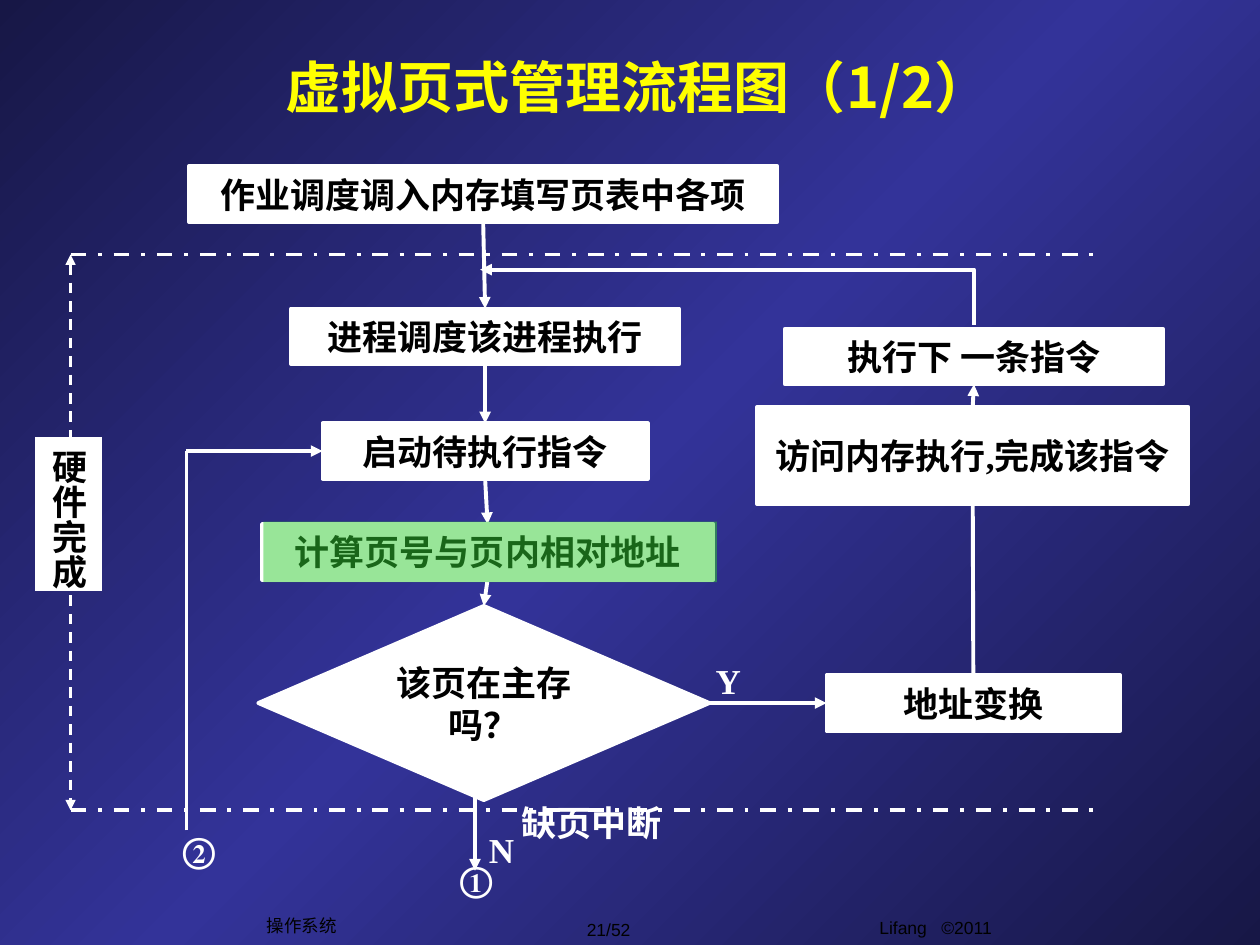
from copy import deepcopy

from pptx import Presentation
from pptx import util as u
from pptx.dml.color import RGBColor
from pptx.enum import dml, shapes, text
from pptx.oxml.ns import qn
from pptx.oxml.xmlchemy import OxmlElement

WHITE, BLACK = "FFFFFF", "000000"
TIMES, SANS, ARIAL = "Times New Roman", "Noto Sans CJK SC", "Arial"
KIND = shapes.MSO_SHAPE
BOX = KIND.FLOWCHART_PROCESS


def paint(color, value):
    color.rgb = RGBColor.from_string(value)


def back(slide):
    fill = slide.background.fill
    fill.gradient()
    fill.gradient_angle = 135
    stops = slide.element.find(".//" + qn("a:gsLst"))
    stops.append(deepcopy(stops[0]))
    for stop, place, value in zip(
        fill.gradient_stops, (0, 0.5, 1), ("171746", "333399", "171746")
    ):
        stop.position = place
        paint(stop.color, value)


def write(shape, words, color, size=20, font=TIMES, bold=True, wrap=True):
    frame = shape.text_frame
    frame.word_wrap = wrap
    frame.vertical_anchor = text.MSO_ANCHOR.MIDDLE
    para = frame.paragraphs[0]
    para.text = words
    para.alignment = text.PP_ALIGN.CENTER
    para.font.size = u.Pt(size)
    para.font.name = font
    para.font.bold = bold
    paint(para.font.color, color)
    return frame


def label(slide, words, at, color=WHITE, wrap=False, **style):
    box = slide.shapes.add_textbox(*map(u.Inches, at))
    return write(box, words, color, wrap=wrap, **style)


def block(slide, kind, at, fill=WHITE, edge=True):
    shape = slide.shapes.add_shape(kind, *map(u.Inches, at))
    shape.shadow.inherit = False
    shape.fill.solid()
    paint(shape.fill.fore_color, fill)
    if edge:
        paint(shape.line.color, WHITE)
        shape.line.width = u.Pt(2.25)
    else:
        shape.line.fill.background()
    return shape


def node(slide, words, at, kind=BOX):
    shape = block(slide, kind, at)
    write(shape, words, BLACK)
    return shape


def link(slide, start, end, ends=("tailEnd",), width=2.25, dash=None, bent=False):
    kind = shapes.MSO_CONNECTOR.ELBOW if bent else shapes.MSO_CONNECTOR.STRAIGHT
    wire = slide.shapes.add_connector(kind, *map(u.Inches, start + end))
    if bent:
        wire.element.spPr.find(qn("a:prstGeom")).set("prst", "bentConnector2")
    paint(wire.line.color, WHITE)
    wire.line.width = u.Pt(width)
    if dash:
        wire.line.dash_style = dash
    edge = wire.line._get_or_add_ln()
    for name in ends:
        tip = OxmlElement("a:" + name)
        tip.set("type", "triangle")
        edge.append(tip)
    wire.element.spPr.append(OxmlElement("a:effectLst"))
    return wire


def join(slide, first, side, last, goal):
    wire = link(slide, (0, 0), (1, 1))
    wire.begin_connect(first, side)
    wire.end_connect(last, goal)


def flow(slide):
    calc = node(slide, "计算页号与页内相对地址", (2.08, 4.16, 3.58, 0.44))
    load = node(slide, "作业调度调入内存填写页表中各项", (1.5, 1.32, 4.67, 0.44))
    run = node(slide, "进程调度该进程执行", (2.31, 2.45, 3.08, 0.44))
    start = node(slide, "启动待执行指令", (2.56, 3.36, 2.58, 0.44))
    after = node(slide, "执行下 一条指令", (6.23, 2.61, 3, 0.44))
    fetch = node(slide, "访问内存执行,完成该指令", (6.01, 3.23, 3.42, 0.77))
    test = node(slide, "该页在主存吗？", (2.05, 4.81, 3.58, 1.54), KIND.FLOWCHART_DECISION)
    trans = node(slide, "地址变换", (6.56, 5.36, 2.33, 0.44))

    steps = (load, run, start, calc, test)
    for first, last in zip(steps, steps[1:]):
        join(slide, first, 2, last, 0)
    join(slide, test, 3, trans, 1)
    join(slide, fetch, 0, after, 2)
    link(slide, (7.73, 5.34), (7.72, 3.87)).begin_connect(trans, 0)
    link(slide, (3.81, 2.14), (7.73, 2.58), ("headEnd",), bent=True)
    link(slide, (3.77, 6.25), (3.77, 6.91))
    link(slide, (1.48, 6.59), (1.48, 3.58), ())
    link(slide, (1.48, 3.58), (2.56, 3.58)).end_connect(start, 1)


def span(slide):
    top, base, left = 2.02, 6.43, 0.56
    for y in (base, top):
        link(slide, (left, y), (8.75, y), (), dash=dml.MSO_LINE.DASH_DOT)
    link(slide, (left, top), (left, base), ("headEnd", "tailEnd"), 1.5, dml.MSO_LINE.DASH)
    side = block(slide, KIND.RECTANGLE, (0.28, 3.47, 0.53, 1.22), edge=False)
    frame = write(side, "硬件完成", BLACK, wrap=False)
    frame._txBody.bodyPr.set("vert", "eaVert")
    frame.margin_left = frame.margin_right = u.Inches(0.05)
    frame.margin_top = frame.margin_bottom = u.Inches(0.1)


def main():
    deck = Presentation()
    deck.slide_width, deck.slide_height = u.Inches(10), u.Inches(7.5)
    slide = deck.slides.add_slide(deck.slide_layouts[6])
    back(slide)

    foot = dict(color=BLACK, size=10, font=ARIAL, bold=False)
    frame = label(slide, "Lifang\u00a0\u00a0 ©2011".replace("\u00a0", " "), (5.84, 7.23, 3.17, 0.35), wrap=True, **foot)
    frame.vertical_anchor = text.MSO_ANCHOR.TOP
    label(slide, "21/52", (4.32, 7.24, 1.02, 0.27), **foot)
    label(slide, "操作系统", (2.02, 7.21, 0.75, 0.27), **foot)
    label(slide, "虚拟页式管理流程图（1/2）", (0.98, 0.37, 8.17, 0.63),
          color="FFFF00", wrap=True, size=32, font=SANS)

    flow(slide)
    span(slide)
    for words, at in (
        ("Y", (5.58, 5.18, 0.4, 0.44)),
        ("N", (3.78, 6.52, 0.4, 0.44)),
        ("缺页中断", (4.04, 6.31, 1.31, 0.44)),
        ("①", (3.54, 6.75, 0.48, 0.44)),
        ("②", (1.34, 6.52, 0.48, 0.44)),
    ):
        label(slide, words, at)

    cover = block(slide, KIND.RECTANGLE, (2.09, 4.14, 3.6, 0.48), "33CC33", edge=False)
    alpha = OxmlElement("a:alpha")
    alpha.set("val", "50000")
    cover.element.spPr.find(".//" + qn("a:srgbClr")).append(alpha)
    deck.save("out.pptx")


if __name__ == "__main__":
    main()
